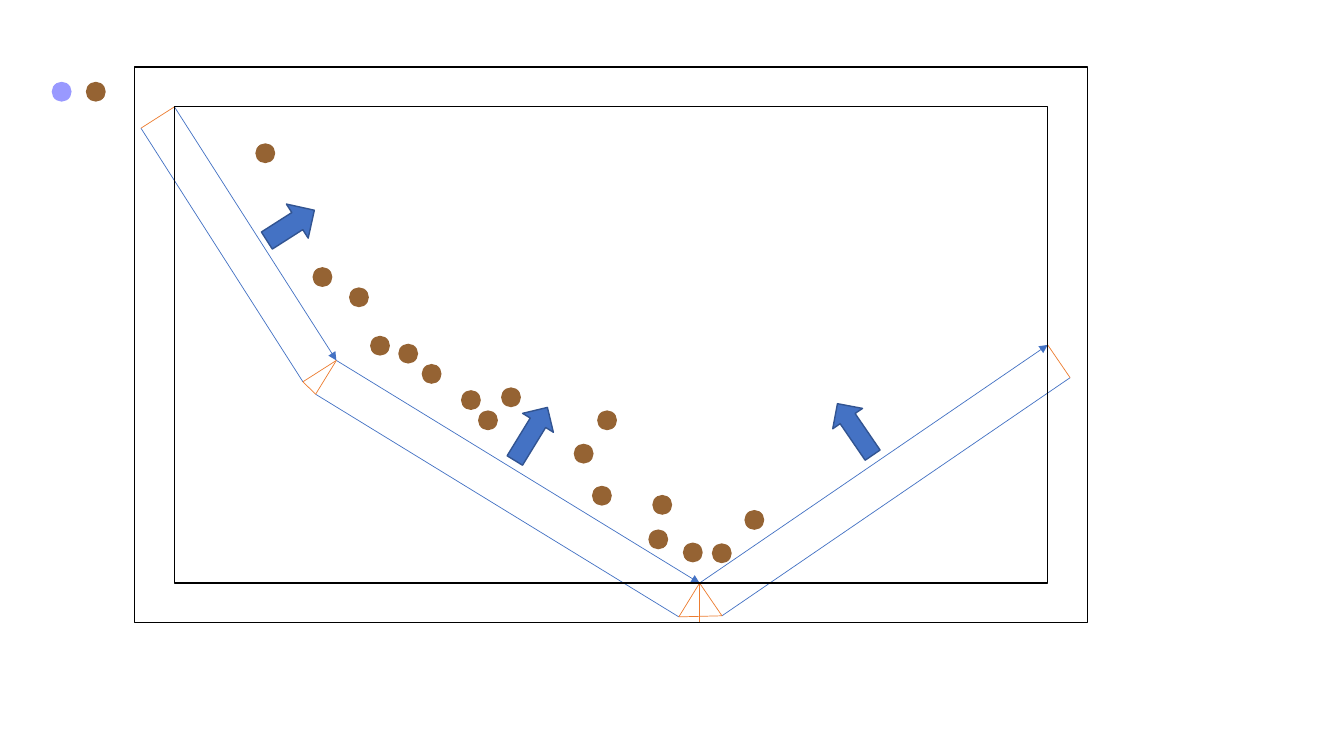
from math import atan2, degrees, hypot

from lxml import etree
from pptx import Presentation, util as u
from pptx.dml.color import RGBColor
from pptx.enum import shapes as s
from pptx.oxml.ns import qn

BLUE = RGBColor(0x44, 0x72, 0xC4)
DARK_BLUE = RGBColor(0x32, 0x54, 0x91)
ORANGE = RGBColor(0xED, 0x7D, 0x31)
BROWN = RGBColor(0x95, 0x63, 0x33)
LILAC = RGBColor(0x99, 0x99, 0xFF)
BLACK = RGBColor(0, 0, 0)

CELL = u.Cm(1)
FIELD = (u.Inches(1.73), u.Inches(1.06))
COLUMNS, ROWS = 22, 12
DOT = 0.5

CORNERS = [(0, 0), (4.08, 6.39), (13.23, 12), (22, 6)]
PUSHES = [(0.54, 0.15, 1.42, 1.02), (0.48, 0.2, 1.57, 0.91), (0.51, 0.2, 1.57, 0.91)]
GRAINS = [
    (2.29, 1.17), (3.73, 4.29), (4.65, 4.8), (5.18, 6.02), (5.89, 6.22), (6.48, 6.73),
    (7.47, 7.39), (7.9, 7.9), (8.48, 7.32), (10.9, 7.9), (10.31, 8.74), (10.77, 9.8),
    (12.29, 10.03), (12.19, 10.9), (13.06, 11.23), (13.79, 11.25), (14.61, 10.41),
]


def place(box, point):
    return [int(edge + share * CELL) for edge, share in zip(box, point)]


def add_outline(slide, box, kind, center, width, height, fill=None, line=None):
    corner = place(box, (center[0] - width / 2, center[1] - height / 2))
    shape = slide.shapes.add_shape(kind, *corner, int(width * CELL), int(height * CELL))
    shape.shadow.inherit = False
    if fill is None:
        shape.fill.background()
    else:
        shape.fill.solid()
        shape.fill.fore_color.rgb = fill
    if line is None:
        shape.line.fill.background()
    else:
        shape.line.color.rgb = line
        shape.line.width = u.Pt(1)
    return shape


def add_edge(slide, box, start, end, color, arrow=False):
    edge = slide.shapes.add_connector(
        s.MSO_CONNECTOR.STRAIGHT, *place(box, start), *place(box, end))
    edge.line.color.rgb = color
    edge.line.width = u.Pt(0.5)
    if arrow:
        etree.SubElement(edge.line._get_or_add_ln(), qn("a:tailEnd"), type="triangle")
    etree.SubElement(edge._element.spPr, qn("a:effectLst"))


def add_frames(slide, box):
    for margin in (0, 1):
        add_outline(slide, box, s.MSO_SHAPE.RECTANGLE, (COLUMNS / 2, ROWS / 2),
                    COLUMNS + 2 * margin, ROWS + 2 * margin, line=BLACK)


def add_wall(slide, box):
    previous_outer = None
    for start, end, push in zip(CORNERS, CORNERS[1:], PUSHES):
        dx, dy = end[0] - start[0], end[1] - start[1]
        length = hypot(dx, dy)
        normal = (-dy / length, dx / length)
        outer_start = (start[0] + normal[0], start[1] + normal[1])
        outer_end = (end[0] + normal[0], end[1] + normal[1])

        add_edge(slide, box, start, end, BLUE, arrow=True)
        add_edge(slide, box, outer_start, outer_end, BLUE)
        add_edge(slide, box, start, outer_start, ORANGE)
        add_edge(slide, box, end, outer_end, ORANGE)
        if previous_outer:
            add_edge(slide, box, previous_outer, outer_start, ORANGE)
        previous_outer = outer_end

        share, gap, width, height = push
        lift = gap + width / 2
        center = (start[0] + share * dx - lift * normal[0],
                  start[1] + share * dy - lift * normal[1])
        push_arrow = add_outline(slide, box, s.MSO_SHAPE.RIGHT_ARROW, center,
                                 width, height, BLUE, DARK_BLUE)
        push_arrow.rotation = degrees(atan2(-normal[1], -normal[0])) % 360

    bottom = CORNERS[2]
    add_edge(slide, box, bottom, (bottom[0], bottom[1] + 1), ORANGE)


def add_dots(slide, box, centers, color):
    for center in centers:
        add_outline(slide, box, s.MSO_SHAPE.OVAL, center, DOT, DOT, color)


def main():
    deck = Presentation()
    deck.slide_width, deck.slide_height = u.Inches(13.33), u.Inches(7.5)
    slide = deck.slides.add_slide(deck.slide_layouts[6])
    add_wall(slide, FIELD)
    add_frames(slide, FIELD)
    add_dots(slide, FIELD, [(-2.84, -0.38)], LILAC)
    add_dots(slide, FIELD, [(-1.98, -0.38)] + GRAINS, BROWN)
    deck.save("out.pptx")


if __name__ == "__main__":
    main()
